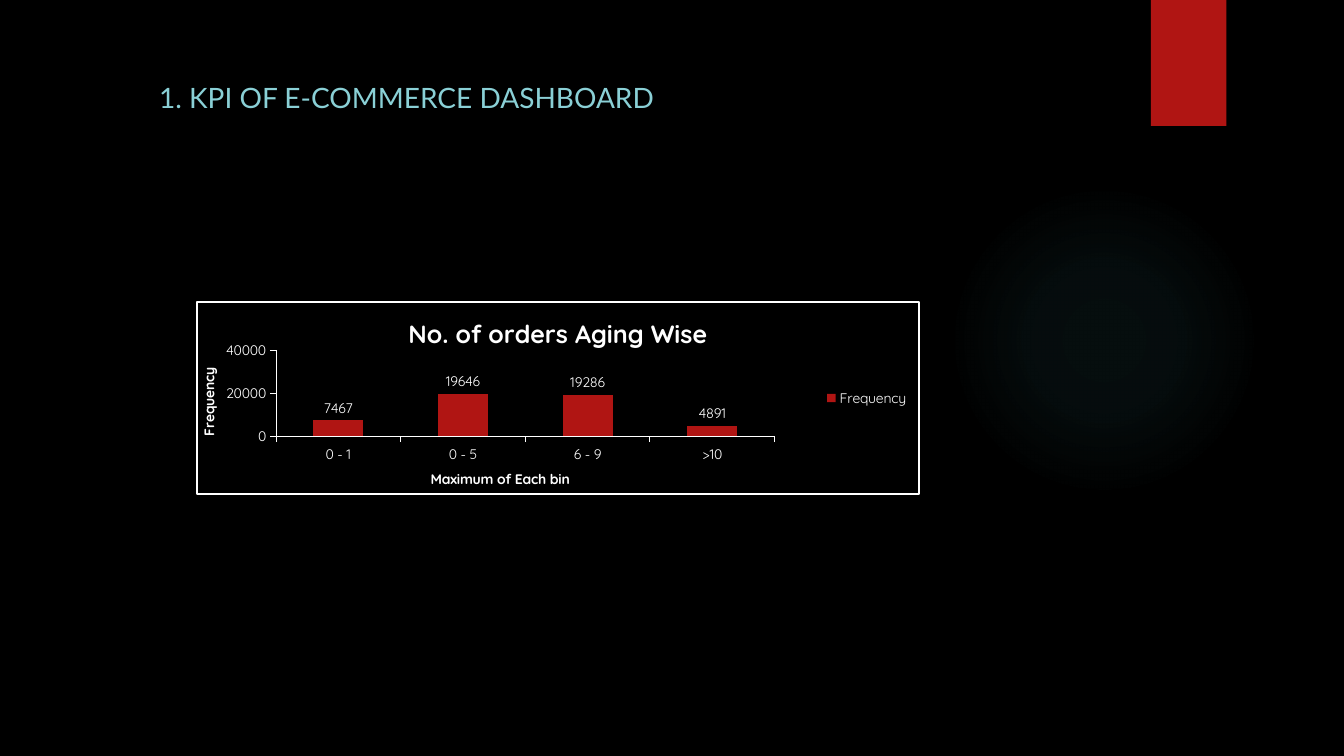
from pptx import Presentation
from pptx.chart.data import CategoryChartData
from pptx.dml.color import RGBColor
from pptx.enum.chart import XL_CHART_TYPE, XL_LABEL_POSITION, XL_LEGEND_POSITION, XL_TICK_MARK
from pptx.enum.shapes import MSO_SHAPE
from pptx.oxml import parse_xml
from pptx.oxml.ns import nsdecls, qn
from pptx.util import Pt

BLACK = RGBColor(0x00, 0x00, 0x00)
WHITE = RGBColor(0xFF, 0xFF, 0xFF)
RED = RGBColor(0xB0, 0x15, 0x13)
AQUA = RGBColor(0x8A, 0xD0, 0xD6)
TEAL = RGBColor(0x50, 0xB9, 0xC1)


def add_plain(kind, left, top, width, height):
    shape = slide.shapes.add_shape(kind, Pt(left), Pt(top), Pt(width), Pt(height))
    shape.shadow.inherit = False
    shape.line.fill.background()
    return shape


def set_title(owner, text, size):
    frame = owner.text_frame
    frame.text = text
    font = frame.paragraphs[0].runs[0].font
    font.name, font.size, font.bold = "Quicksand", Pt(size), True
    font.color.rgb = WHITE


deck = Presentation()
deck.slide_width, deck.slide_height = Pt(960), Pt(540)
slide = deck.slides.add_slide(deck.slide_layouts[6])
slide.background.fill.solid()
slide.background.fill.fore_color.rgb = BLACK

# Soft round glow
glow = add_plain(MSO_SHAPE.OVAL, 677.5, 131.8, 222, 222)
stops = "".join(
    f'<a:gs pos="{pos * 1000}"><a:srgbClr val="{TEAL}">'
    f'<a:alpha val="{alpha * 1000}"/></a:srgbClr></a:gs>'
    for pos, alpha in [(0, 7), (36, 6), (69, 0), (100, 0)])
glow.fill.background()
blank = glow.element.spPr.find(qn("a:noFill"))
blank.addprevious(parse_xml(
    f'<a:gradFill {nsdecls("a")} rotWithShape="1"><a:gsLst>{stops}</a:gsLst>'
    '<a:path path="circle"><a:fillToRect l="50000" t="50000" r="50000" b="50000"/>'
    '</a:path></a:gradFill>'))
glow.element.spPr.remove(blank)

# Red tab
tab = add_plain(MSO_SHAPE.RECTANGLE, 822, 0, 54, 90)
tab.fill.solid()
tab.fill.fore_color.rgb = RED

# Heading
box = slide.shapes.add_textbox(Pt(106.6), Pt(53.6), Pt(703.4), Pt(65.5))
box.text_frame.word_wrap = True
head = box.text_frame.paragraphs[0]
head.text = "1. KPI OF E-COMMERCE DASHBOARD"
font = head.runs[0].font
font.name, font.size = "Lato", Pt(20)
font.color.rgb = AQUA

# Chart
data = CategoryChartData()
data.categories = ["0 - 1", "0 - 5", "6 - 9", ">10"]
data.add_series("Frequency", [7467, 19646, 19286, 4891])
chart = slide.shapes.add_chart(
    XL_CHART_TYPE.COLUMN_CLUSTERED, Pt(139.7), Pt(215.2), Pt(517.6), Pt(138.2), data).chart
chart.font.name, chart.font.size = "Quicksand", Pt(10)
chart.font.color.rgb = WHITE
chart.has_title = True
set_title(chart.chart_title, "No. of orders Aging Wise", 18)
chart.chart_title.include_in_layout = False
chart.has_legend = True
chart.legend.position = XL_LEGEND_POSITION.RIGHT
chart.legend.include_in_layout = False

# Columns and labels
plot = chart.plots[0]
plot.gap_width = 150
plot.vary_by_categories = False
plot.series[0].format.fill.solid()
plot.series[0].format.fill.fore_color.rgb = RED
plot.has_data_labels = True
plot.data_labels.show_value = True
plot.data_labels.position = XL_LABEL_POSITION.OUTSIDE_END

# Axes
for axis, name in [(chart.category_axis, "Maximum of Each bin"),
                   (chart.value_axis, "Frequency")]:
    set_title(axis.axis_title, name, 10)
    axis.has_major_gridlines = False
    axis.major_tick_mark = XL_TICK_MARK.OUTSIDE
    axis.minor_tick_mark = XL_TICK_MARK.NONE
    axis.format.line.color.rgb = WHITE
    axis.format.line.width = Pt(0.75)
chart.value_axis.minimum_scale = 0
chart.value_axis.maximum_scale = 40000
chart.value_axis.major_unit = 20000

# Plot position, leaving room for the vertical title beside the tick labels
area = chart.element.find(".//" + qn("c:plotArea"))
for old in area.findall(qn("c:layout")):
    area.remove(old)
place = "".join(f'<c:{key} val="{val}"/>' for key, val in [
    ("layoutTarget", "inner"), ("xMode", "edge"), ("yMode", "edge"),
    ("x", 0.11), ("y", 0.25), ("w", 0.69), ("h", 0.45)])
area.insert(0, parse_xml(
    f'<c:layout {nsdecls("c")}><c:manualLayout>{place}</c:manualLayout></c:layout>'))

# Chart frame
chart.element.find(qn("c:chart")).addnext(parse_xml(
    f'<c:spPr {nsdecls("c", "a")}><a:solidFill><a:srgbClr val="{BLACK}"/></a:solidFill>'
    f'<a:ln w="{Pt(1.5)}"><a:solidFill><a:srgbClr val="{WHITE}"/></a:solidFill></a:ln></c:spPr>'))

deck.save("out.pptx")
